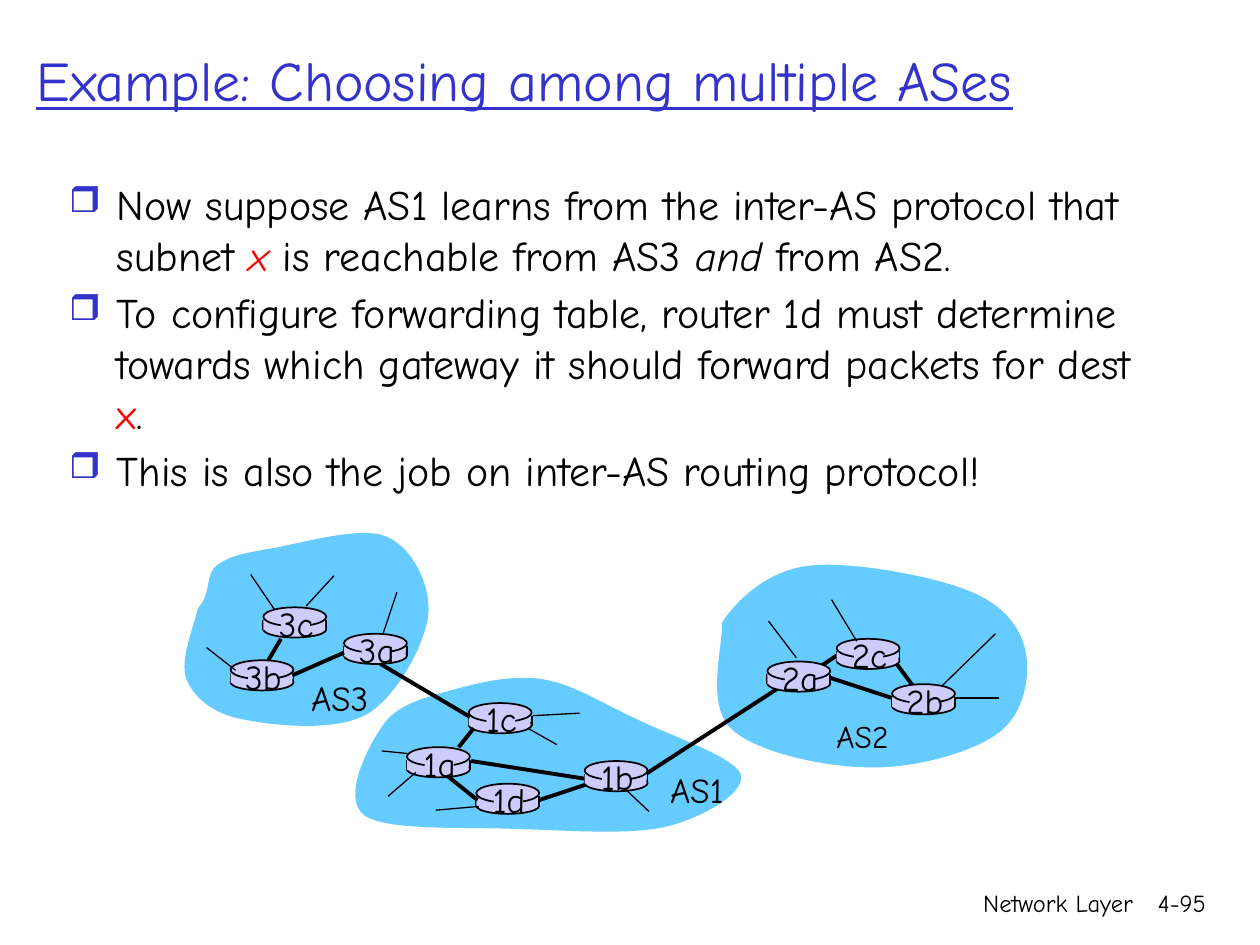
from lxml import etree
from pptx import Presentation, util as u
from pptx.dml.color import RGBColor
from pptx.enum import shapes, text
from pptx.oxml.ns import qn

FONT = "Comic Neue"
HUES = {"ink": "000000", "blue": "3333CC", "red": "FF0000",
        "cloud": "66CCFF", "node": "CCCCFF"}
OVAL, RECT = shapes.MSO_SHAPE.OVAL, shapes.MSO_SHAPE.RECTANGLE
LEFT, MID, RIGHT = text.PP_ALIGN.LEFT, text.PP_ALIGN.CENTER, text.PP_ALIGN.RIGHT


def cm(inch):
    return u.Cm(inch * 2.54)


def rgb(hue):
    return RGBColor.from_string(HUES[hue])


def write(par, words, size=20, hue="ink", italic=False, under=False):
    run = par.add_run()
    run.text = words
    font = run.font
    font.name, font.size = FONT, u.Pt(size)
    font.italic, font.underline = italic, under
    font.color.rgb = rgb(hue)


def mark(par):
    """Give a paragraph the hanging box bullet."""
    props = par._p.get_or_add_pPr()
    props.set("marL", str(cm(0.38)))
    props.set("indent", str(-cm(0.38)))
    hue = etree.SubElement(props, qn("a:buClr"))
    etree.SubElement(hue, qn("a:srgbClr"), val=HUES["blue"])
    etree.SubElement(props, qn("a:buSzPct"), val="85000")
    etree.SubElement(props, qn("a:buChar"), char="❒")


def curve(track):
    """Turn each three line segments of a track into one cubic curve."""
    lines = track.findall(qn("a:lnTo"))
    for i in range(0, len(lines), 3):
        bend = etree.Element(qn("a:cubicBezTo"))
        lines[i].addprevious(bend)
        for line in lines[i:i + 3]:
            bend.append(line[0])
            track.remove(line)


class Board:
    """The current slide and the style of what is drawn on it."""

    def __init__(self, slide):
        self.items = slide.shapes

    def box(self, x, y, w, h, words="", align=LEFT, wrap=True, **form):
        frame = self.items.add_textbox(cm(x), cm(y), cm(w), cm(h)).text_frame
        frame.word_wrap = wrap
        par = frame.paragraphs[0]
        par.alignment = align
        if words:
            write(par, words, **form)
        return frame

    def paint(self, shape, hue, edge):
        shape.shadow.inherit = False
        shape.fill.solid()
        shape.fill.fore_color.rgb = rgb(hue)
        if edge:
            shape.line.color.rgb = rgb("ink")
            shape.line.width = u.Pt(edge)
        else:
            shape.line.fill.background()

    def piece(self, kind, x, y, w, h, edge=0):
        shape = self.items.add_shape(kind, cm(x), cm(y), cm(w), cm(h))
        self.paint(shape, "node", edge)

    def line(self, x1, y1, x2, y2, width):
        line = self.items.add_connector(
            shapes.MSO_CONNECTOR.STRAIGHT, cm(x1), cm(y1), cm(x2), cm(y2))
        line.line.color.rgb = rgb("ink")
        line.line.width = u.Pt(width)
        etree.SubElement(line._element.spPr, qn("a:effectLst"))

    def cloud(self, start, *bends):
        dots = [(cm(b[i]), cm(b[i + 1])) for b in bends for i in (0, 2, 4)]
        pen = self.items.build_freeform(cm(start[0]), cm(start[1]))
        pen.add_line_segments(dots, close=True)
        shape = pen.convert_to_shape()
        curve(next(shape._element.iter(qn("a:path"))))
        self.paint(shape, "cloud", 0)

    def router(self, name, x, y):
        self.piece(OVAL, x, y + 0.11, 0.5, 0.13, edge=1)
        for side in (x, x + 0.5):
            self.line(side, y + 0.1, side, y + 0.18, 1)
        self.piece(RECT, x, y + 0.1, 0.49, 0.08)
        self.piece(OVAL, x, y, 0.5, 0.15, edge=1)
        self.piece(RECT, x + 0.14, y + 0.02, 0.23, 0.2)
        self.box(x, y - 0.09, 0.52, 0.43, name, MID, wrap=False)


POINTS = [
    [("Now suppose AS1 learns from the inter-AS protocol that subnet ", {}),
     ("x", {"hue": "red", "italic": True}),
     (" is reachable from AS3 ", {}),
     ("and", {"italic": True}),
     (" from AS2.", {})],
    [("To configure forwarding table, router 1d must determine towards which "
      "gateway it should forward packets for dest ", {}),
     ("x", {"hue": "red"}),
     (".", {})],
    [("This is also the job on inter-AS routing protocol!", {})],
]
CLOUDS = [
    [(5.73, 4.94), (5.86, 4.75, 6.09, 4.53, 6.42, 4.49),
     (6.74, 4.45, 7.4, 4.57, 7.69, 4.69), (7.97, 4.8, 8.1, 4.98, 8.14, 5.17),
     (8.18, 5.36, 8.13, 5.67, 7.92, 5.82), (7.72, 5.97, 7.26, 6.1, 6.9, 6.09),
     (6.55, 6.09, 5.99, 5.97, 5.8, 5.78), (5.6, 5.59, 5.74, 5.12, 5.73, 4.94)],
    [(1.57, 4.83), (1.69, 4.69, 1.62, 4.57, 1.72, 4.49),
     (1.82, 4.41, 1.94, 4.39, 2.17, 4.35), (2.4, 4.31, 2.87, 4.17, 3.07, 4.26),
     (3.28, 4.35, 3.42, 4.65, 3.4, 4.88), (3.37, 5.12, 3.15, 5.53, 2.91, 5.67),
     (2.66, 5.81, 2.17, 5.76, 1.93, 5.71), (1.7, 5.67, 1.54, 5.54, 1.48, 5.39),
     (1.42, 5.24, 1.55, 4.94, 1.57, 4.83)],
    [(3.03, 5.77), (3.13, 5.61, 3.32, 5.55, 3.54, 5.49),
     (3.75, 5.43, 4.05, 5.35, 4.3, 5.39), (4.56, 5.43, 4.79, 5.59, 5.06, 5.71),
     (5.32, 5.84, 5.84, 6.01, 5.88, 6.15), (5.92, 6.29, 5.58, 6.49, 5.29, 6.56),
     (5, 6.63, 4.51, 6.59, 4.11, 6.58), (3.71, 6.56, 3.07, 6.6, 2.89, 6.47),
     (2.71, 6.33, 2.92, 5.93, 3.03, 5.77)],
]
BACK = [("3b", 1.83, 5.24), ("1d", 3.78, 6.22), ("3a", 2.73, 5.03),
        ("1c", 3.72, 5.58)]
FRONT = [("2a", 6.09, 5.25), ("1a", 3.23, 5.93), ("2c", 6.64, 5.07),
         ("2b", 7.08, 5.43), ("1b", 4.64, 6.04), ("3c", 2.09, 4.82)]
LINKS = [(6.59, 5.38, 7.08, 5.54), (7.11, 5.26, 7.25, 5.45),
         (6.48, 5.31, 6.66, 5.19), (4.28, 6.35, 4.7, 6.21),
         (3.54, 6.15, 3.79, 6.35), (3.74, 6.04, 4.64, 6.18),
         (3.64, 5.93, 3.76, 5.78), (2.32, 5.36, 2.73, 5.18),
         (3.02, 5.27, 3.73, 5.69), (5.13, 6.14, 6.18, 5.46),
         (2.23, 5.07, 2.13, 5.24)]
STUBS = [(1.64, 5.14, 1.87, 5.32), (2.65, 4.57, 2.43, 4.81),
         (1.99, 4.56, 2.18, 4.84), (3.15, 4.7, 3.04, 5.03),
         (7.57, 5.54, 7.93, 5.54), (7.48, 5.44, 7.9, 5.03),
         (6.8, 5.09, 6.6, 4.76), (6.32, 5.22, 6.1, 4.93),
         (3.3, 6.13, 3.08, 6.32), (3.23, 5.98, 3.03, 5.96),
         (3.8, 6.4, 3.46, 6.43), (4.23, 5.68, 4.6, 5.66),
         (4.96, 6.26, 5.15, 6.44), (4.19, 5.78, 4.42, 5.91)]
AREAS = [("AS3", 2.37, 5.32, 20), ("AS1", 5.22, 6.05, 20),
         ("AS2", 6.54, 5.64, 18)]


def main():
    deck = Presentation()
    deck.slide_width, deck.slide_height = cm(10), cm(7.5)
    board = Board(deck.slides.add_slide(deck.slide_layouts[6]))

    board.box(5.92, 7, 3.17, 0.5, "Network Layer", RIGHT, size=14)
    board.box(8.93, 7, 0.74, 0.5, "4-95", RIGHT, size=14)
    title = board.box(0.19, 0, 9.59, 1.25, "Example: Choosing among multiple ASes",
                      size=32, hue="blue", under=True)
    title.vertical_anchor = text.MSO_ANCHOR.MIDDLE

    body = board.box(0.45, 1.37, 8.74, 3.01)
    for i, runs in enumerate(POINTS):
        par = body.add_paragraph() if i else body.paragraphs[0]
        par.space_before = u.Pt(4)
        mark(par)
        for words, form in runs:
            write(par, words, size=24, **form)

    for cloud in CLOUDS:
        board.cloud(*cloud)
    for node in BACK:
        board.router(*node)
    for link in LINKS:
        board.line(*link, 2.25)
    for node in FRONT:
        board.router(*node)
    for name, x, y, size in AREAS:
        board.box(x, y, 0.75, 0.43, name, wrap=False, size=size)
    for stub in STUBS:
        board.line(*stub, 0.75)
    deck.save("out.pptx")


if __name__ == "__main__":
    main()
